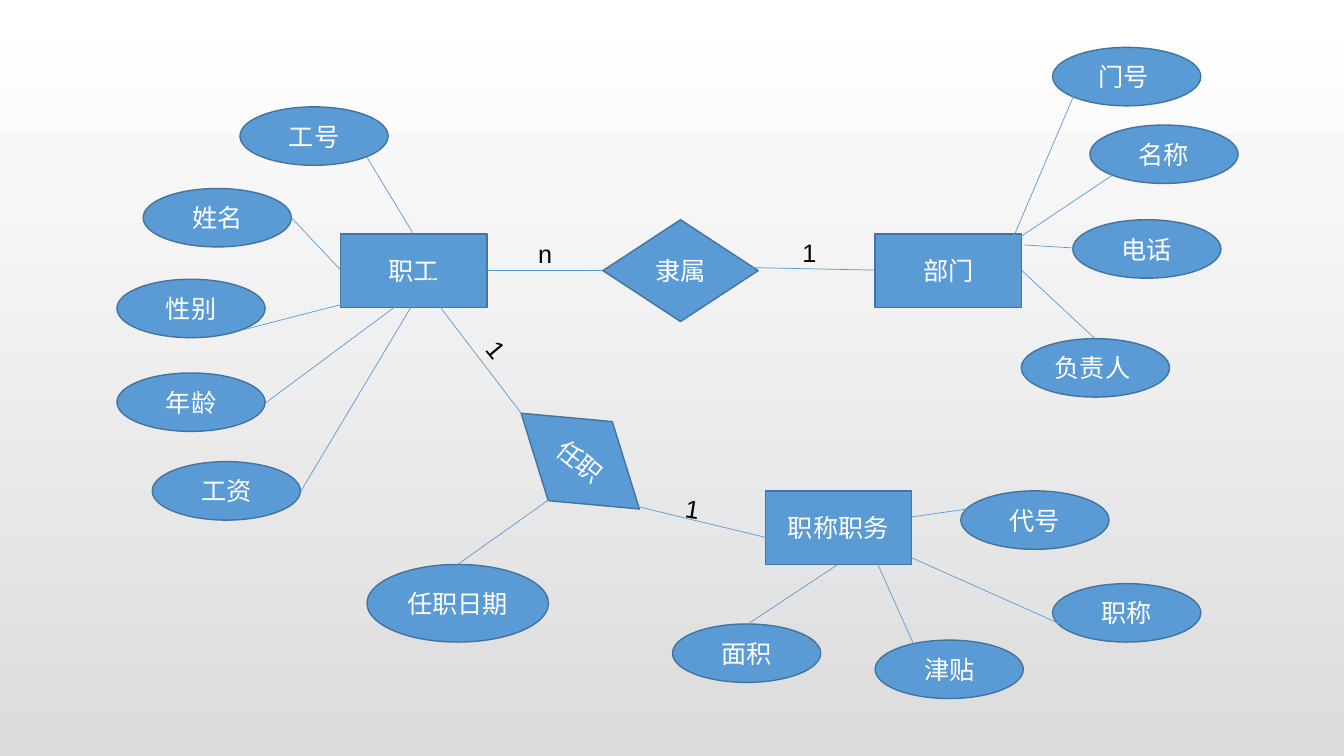
from dataclasses import dataclass

from lxml import etree
from pptx import Presentation
from pptx.dml.color import RGBColor
from pptx.enum import shapes, text
from pptx.oxml import ns
from pptx.util import Inches, Pt

WHITE = RGBColor(0xFF, 0xFF, 0xFF)
GREY = RGBColor(0xDC, 0xDC, 0xDC)
BLACK = RGBColor(0x00, 0x00, 0x00)
BLUE = RGBColor(0x5B, 0x9B, 0xD5)
DARK_BLUE = RGBColor(0x43, 0x73, 0x9E)
FONT = "Arial"
FONT_SIZE = Pt(18)

ENTITY = shapes.MSO_SHAPE.RECTANGLE
RELATION = shapes.MSO_SHAPE.DIAMOND
ATTRIBUTE = shapes.MSO_SHAPE.OVAL


@dataclass(frozen=True)
class Node:
    label: str
    left: float
    top: float
    kind: shapes.MSO_SHAPE = ATTRIBUTE
    width: float = 1.47
    height: float = 0.58
    rotation: float = 0


@dataclass(frozen=True)
class Link:
    start_x: float
    start_y: float
    end_x: float
    end_y: float


@dataclass(frozen=True)
class Cardinality:
    label: str
    left: float
    top: float
    width: float
    rotation: float = 0


NODES = [
    Node("职工", 3.38, 2.32, ENTITY, 1.45, 0.73),
    Node("部门", 8.68, 2.32, ENTITY, 1.45, 0.73),
    Node("职称职务", 7.59, 4.87, ENTITY, 1.45, 0.73),
    Node("隶属", 5.98, 2.18, RELATION, 1.54, 1.01),
    Node("任职", 5, 4.07, RELATION, 1.51, 1.01, 39),
    Node("任职日期", 3.64, 5.6, ATTRIBUTE, 1.8, 0.77),
    Node("工号", 2.38, 1.06),
    Node("姓名", 1.42, 1.87),
    Node("性别", 1.16, 2.77),
    Node("年龄", 1.16, 3.7),
    Node("工资", 1.51, 4.58),
    Node("门号 ", 10.44, 0.47),
    Node("名称", 10.81, 1.24),
    Node("电话", 10.64, 2.18),
    Node("负责人 ", 10.13, 3.36),
    Node("代号", 9.53, 4.87),
    Node("职称", 10.44, 5.79),
    Node("津贴", 8.68, 6.35),
    Node("面积", 6.67, 6.19),
]

LINKS = [
    Link(3.64, 1.56, 4.1, 2.32),
    Link(2.89, 2.16, 3.38, 2.68),
    Link(3.39, 3.02, 2.42, 3.27),
    Link(4.61, 2.53, 2.63, 4),
    Link(4.47, 2.39, 2.98, 4.88),
    Link(10.73, 0.76, 10.04, 2.38),
    Link(11.03, 1.74, 10.12, 2.35),
    Link(10.64, 2.46, 10.16, 2.43),
    Link(10.86, 3.36, 10.13, 2.68),
    Link(10.15, 4.97, 8.89, 5.15),
    Link(10.58, 6.22, 8.99, 5.51),
    Link(8.64, 5.45, 9.11, 6.5),
    Link(8.31, 5.6, 7.42, 6.19),
    Link(5.44, 4.96, 4.54, 5.6),
    Link(5.98, 2.68, 4.83, 2.68),
    Link(8.68, 2.68, 6.73, 2.64),
    Link(5.17, 4.1, 4.33, 3),
    Link(7.67, 5.35, 6.22, 5),
]

CARDINALITIES = [
    Cardinality(" n", 5.17, 2.32, 0.81),
    Cardinality("1", 7.86, 2.31, 0.65),
    Cardinality("1", 4.72, 3.35, 0.54, 50),
    Cardinality("1", 6.7, 4.86, 0.46, 9),
]


def add_label(frame, label: str, color: RGBColor) -> None:
    frame.word_wrap = True
    span = frame.paragraphs[0].add_run()
    span.text = label
    span.font.name = FONT
    span.font.size = FONT_SIZE
    span.font.color.rgb = color


def draw_node(page, node: Node) -> None:
    box = page.shapes.add_shape(
        node.kind, Inches(node.left), Inches(node.top), Inches(node.width), Inches(node.height)
    )
    box.rotation = node.rotation
    box.shadow.inherit = False
    box.fill.solid()
    box.fill.fore_color.rgb = BLUE
    box.line.color.rgb = DARK_BLUE
    box.line.width = Pt(1)
    add_label(box.text_frame, node.label, WHITE)
    box.text_frame.vertical_anchor = text.MSO_ANCHOR.MIDDLE
    box.text_frame.paragraphs[0].alignment = text.PP_ALIGN.CENTER


def draw_link(page, link: Link) -> None:
    line = page.shapes.add_connector(
        shapes.MSO_CONNECTOR.STRAIGHT,
        Inches(link.start_x), Inches(link.start_y), Inches(link.end_x), Inches(link.end_y),
    )
    line.line.color.rgb = BLUE
    line.line.width = Pt(0.5)
    etree.SubElement(line._element.spPr, ns.qn("a:effectLst"))


def draw_cardinality(page, cardinality: Cardinality) -> None:
    box = page.shapes.add_textbox(
        Inches(cardinality.left), Inches(cardinality.top), Inches(cardinality.width), Inches(0.4)
    )
    box.rotation = cardinality.rotation
    add_label(box.text_frame, cardinality.label, BLACK)
    box.text_frame.auto_size = text.MSO_AUTO_SIZE.SHAPE_TO_FIT_TEXT


def paint_background(page) -> None:
    fill = page.background.fill
    fill.gradient()
    fill.gradient_angle = 270
    for stop, color, position in zip(fill.gradient_stops, (WHITE, GREY), (0, 1)):
        stop.color.rgb = color
        stop.position = position


deck = Presentation()
deck.slide_width = Inches(13.33)
deck.slide_height = Inches(7.5)
page = deck.slides.add_slide(deck.slide_layouts[6])
paint_background(page)
for node in NODES:
    draw_node(page, node)
for link in LINKS:
    draw_link(page, link)
for cardinality in CARDINALITIES:
    draw_cardinality(page, cardinality)
deck.save("out.pptx")
